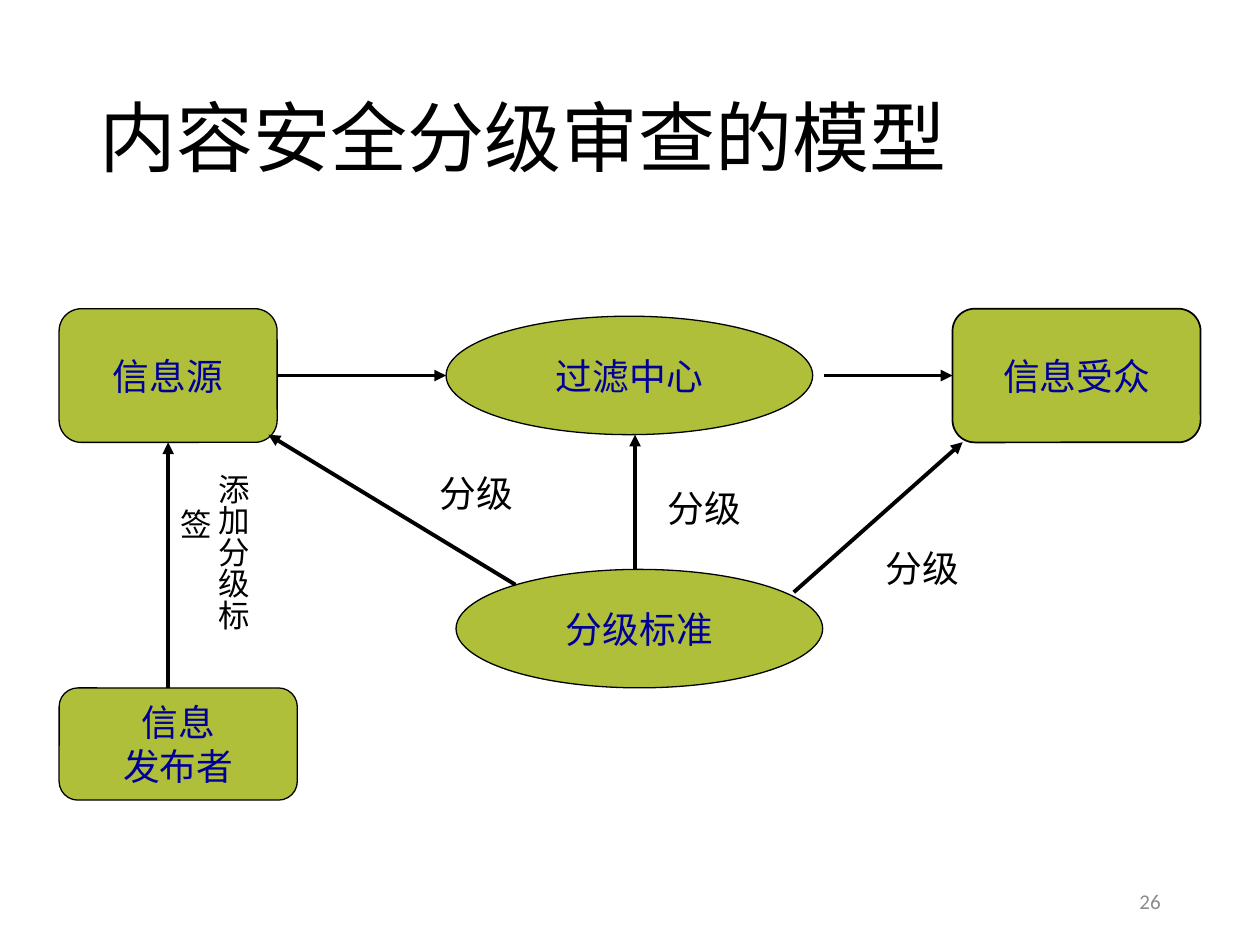
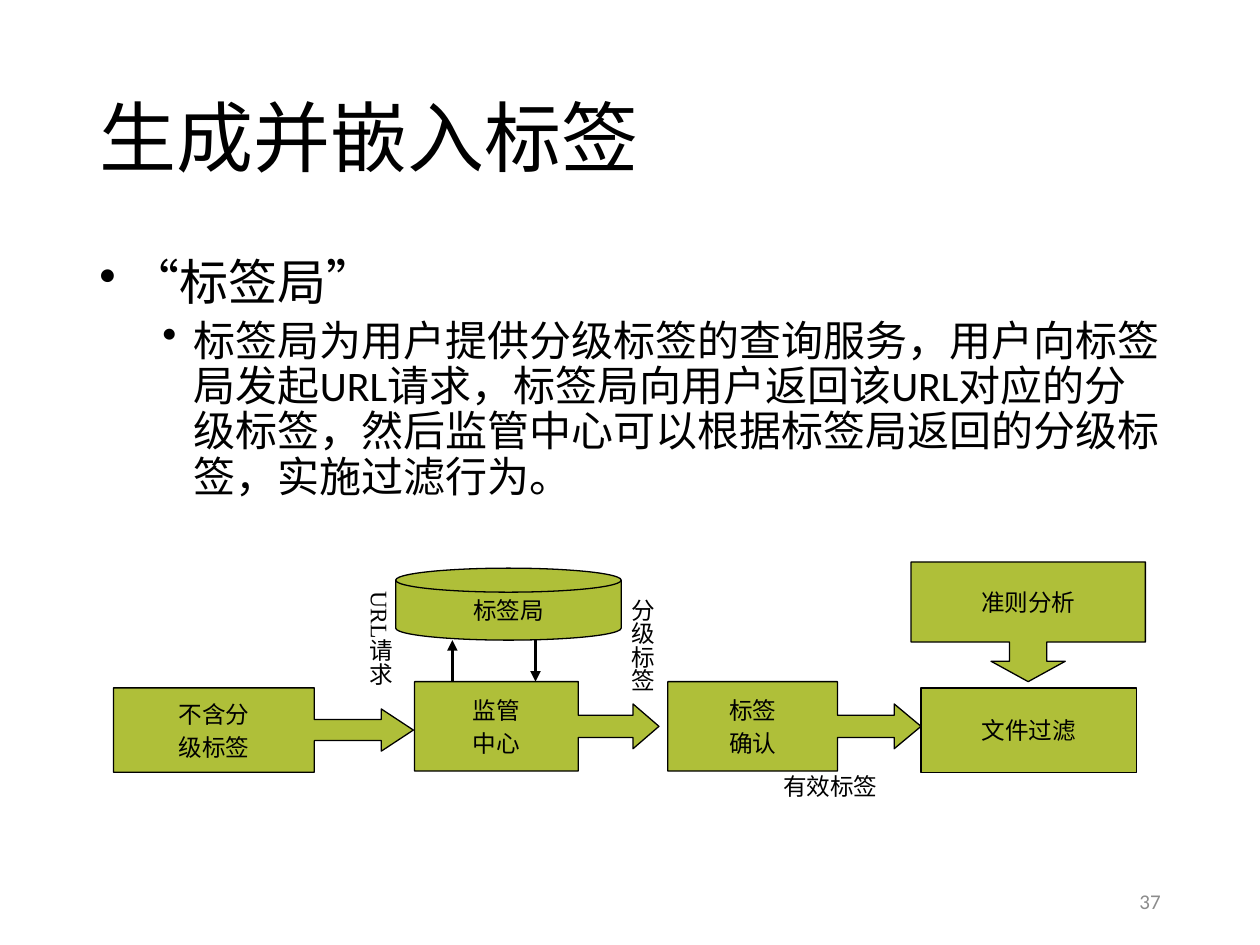
import dataclasses

import lxml.etree
import pptx
import pptx.dml.color
import pptx.enum.lang
import pptx.enum.shapes
import pptx.enum.text
import pptx.oxml.ns
import pptx.util

Pt = pptx.util.Pt
RGB = pptx.dml.color.RGBColor
SHAPE = pptx.enum.shapes.MSO_SHAPE
ALIGN = pptx.enum.text.PP_ALIGN
ANCHOR = pptx.enum.text.MSO_ANCHOR
AUTO = pptx.enum.text.MSO_AUTO_SIZE
qn = pptx.oxml.ns.qn


@dataclasses.dataclass(frozen=True)
class Theme:
    ink: RGB = RGB(0, 0, 0)
    node_ink: RGB = RGB(0, 0, 0x99)
    node_fill: RGB = RGB(0xAF, 0xBF, 0x39)
    number_ink: RGB = RGB(0x8C, 0x8C, 0x8C)
    sans: str = "Calibri"
    serif: str = "Times New Roman"
    title_size: float = 44
    topic_size: float = 28
    detail_size: float = 24
    node_size: float = 21
    side_size: float = 18
    step_size: float = 13.5
    number_size: float = 12
    outline: float = 0.75
    hanging: float = 20.2


THEME = Theme()


def font_format(size, name, color=THEME.ink):
    return {"size": Pt(size), "name": name, "color.rgb": color,
            "language_id": pptx.enum.lang.MSO_LANGUAGE_ID.SIMPLIFIED_CHINESE}


NODE_FONT = font_format(THEME.node_size, THEME.sans, THEME.node_ink)
STEP_FONT = font_format(THEME.step_size, THEME.serif)
LINK_FONT = font_format(THEME.node_size, THEME.serif)
SIDE_FONT = font_format(THEME.side_size, THEME.serif)


def apply(target, values):
    for key, value in values.items():
        *owners, attribute = key.split(".")
        owner = target
        for part in owners:
            owner = getattr(owner, part)
        setattr(owner, attribute, value)


def place(item, box):
    apply(item, dict(zip(("left", "top", "width", "height"), map(Pt, box))))


def write(frame, lines, font, paragraph_format=None, gap=0):
    for index, line in enumerate(lines):
        paragraph = frame.paragraphs[0] if index == 0 else frame.add_paragraph()
        apply(paragraph, paragraph_format or {})
        if index and gap:
            paragraph.space_before = Pt(gap)
        run = paragraph.add_run()
        run.text = line
        apply(run.font, font)


def set_indent(paragraph, left, first, bullet=None):
    properties = paragraph._p.get_or_add_pPr()
    properties.set("marL", str(Pt(left)))
    properties.set("indent", str(Pt(first)))
    if bullet:
        lxml.etree.SubElement(properties, qn("a:buChar")).set("char", bullet)


def add_text(slide, box, lines, font, paragraph_format=None, **frame_format):
    area = slide.shapes.add_textbox(*map(Pt, box))
    apply(area.text_frame, {"word_wrap": True, **frame_format})
    write(area.text_frame, lines, font, paragraph_format)
    return area


def add_label(slide, box, text, font, vertical=False):
    frame = add_text(slide, box, [text], font,
                     auto_size=AUTO.SHAPE_TO_FIT_TEXT).text_frame
    set_indent(frame.paragraphs[0], THEME.hanging, -THEME.hanging)
    if vertical:
        frame._txBody.bodyPr.set("vert", "eaVert")


def add_node(slide, kind, box, lines, font, gap=0, adjustments=(), outline=THEME.outline):
    node = slide.shapes.add_shape(kind, *map(Pt, box))
    for index, value in enumerate(adjustments):
        node.adjustments[index] = value
    node.fill.solid()
    apply(node, {"shadow.inherit": False, "fill.fore_color.rgb": THEME.node_fill,
                 "line.color.rgb": THEME.ink, "line.width": Pt(outline)})
    apply(node.text_frame, {"word_wrap": False, "vertical_anchor": ANCHOR.MIDDLE})
    write(node.text_frame, lines, font, {"alignment": ALIGN.CENTER}, gap)
    return node


def add_step(slide, kind, box, lines, adjustments=()):
    return add_node(slide, kind, box, lines, STEP_FONT, 2.7, adjustments)


def add_arrow(slide, start, end, width, begin_at=None, end_at=None):
    arrow = slide.shapes.add_connector(
        pptx.enum.shapes.MSO_CONNECTOR.STRAIGHT, *map(Pt, (*start, *end)))
    if begin_at:
        arrow.begin_connect(*begin_at)
    if end_at:
        arrow.end_connect(*end_at)
    apply(arrow.line, {"color.rgb": THEME.ink, "width": Pt(width)})
    outline = arrow.line._get_or_add_ln()
    lxml.etree.SubElement(outline, qn("a:tailEnd")).set("type", "triangle")
    lxml.etree.SubElement(arrow._element.spPr, qn("a:effectLst"))


def add_slide(deck, title, number):
    slide = deck.slides.add_slide(deck.slide_layouts[5])
    heading = slide.shapes.title
    place(heading, (49.7, 28.8, 620.6, 104.4))
    apply(heading.text_frame, {"word_wrap": True, "auto_size": AUTO.NONE,
                               "vertical_anchor": ANCHOR.MIDDLE})
    write(heading.text_frame, [title], font_format(THEME.title_size, THEME.sans),
          {"alignment": ALIGN.LEFT, "line_spacing": 0.9})
    add_text(slide, (508.3, 500.4, 162, 28.8), [number],
             font_format(THEME.number_size, THEME.sans, THEME.number_ink),
             {"alignment": ALIGN.RIGHT}, vertical_anchor=ANCHOR.MIDDLE)
    return slide


def build_review_model(deck):
    slide = add_slide(deck, "内容安全分级审查的模型", "26")
    flow_y, source_x = 214.6, 96.1
    rounded, oval = SHAPE.ROUNDED_RECTANGLE, SHAPE.OVAL

    add_node(slide, oval, (254.9, 180.7, 209.5, 67.7), ["过滤中心"], NODE_FONT)
    source = add_node(slide, rounded, (33.8, 176.4, 124.6, 76.4), ["信息源"], NODE_FONT)
    add_node(slide, rounded, (33.8, 393.1, 136.1, 64.1), ["信息", "发布者"], NODE_FONT)
    audience = add_node(slide, rounded, (544.3, 176.4, 141.8, 76.4), ["信息受众"],
                        NODE_FONT, outline=1)
    add_node(slide, oval, (260.6, 325.4, 209.5, 67.7), ["分级标准"], NODE_FONT)

    for start, end, begin_at, end_at in (
        ((source_x, 393.1), (source_x, 252.8), None, (source, 2)),
        ((294.5, 334.1), (153.4, 248.4), None, None),
        ((158.4, flow_y), (254.9, flow_y), (source, 3), None),
        ((362.9, 325.4), (362.9, 248.4), None, None),
        ((470.9, flow_y), (544.3, flow_y), None, (audience, 1)),
        ((453.6, 338.4), (550.1, 252.7), None, None),
    ):
        add_arrow(slide, start, end, 2.25, begin_at, end_at)

    add_label(slide, (111.6, 263.5, 36, 118.8), "添加分级标签", SIDE_FONT, vertical=True)
    for left, top in ((244.1, 265.7), (499, 308.2), (374.4, 274.3)):
        add_label(slide, (left, top, 73.4, 32.4), "分级", LINK_FONT)


def add_explanation(slide):
    frame = add_text(slide, (49.7, 144, 620.6, 342.7), [], {}).text_frame
    points = (
        ("“标签局”", 0, 18, THEME.topic_size),
        ("标签局为用户提供分级标签的查询服务，用户向标签局发起URL请求，"
         "标签局向用户返回该URL对应的分级标签，然后监管中心可以根据标签局返回的分级标签，"
         "实施过滤行为。", 1, 54, THEME.detail_size),
    )
    for text, level, left, size in points:
        paragraph = frame.add_paragraph() if level else frame.paragraphs[0]
        apply(paragraph, {"level": level, "line_spacing": 0.9})
        if level:
            paragraph.space_before = Pt(5)
        set_indent(paragraph, left, -18, "•")
        run = paragraph.add_run()
        run.text = text
        apply(run.font, font_format(size, THEME.sans))


def build_label_flow(deck):
    slide = add_slide(deck, "生成并嵌入标签", "37")
    add_explanation(slide)
    bureau_bottom, centre_top = 365.8, 389.5

    add_step(slide, SHAPE.RECTANGLE, (526.3, 393.1, 123.1, 48.2), ["文件过滤"])
    add_step(slide, SHAPE.FLOWCHART_MAGNETIC_DISK, (226.1, 324.7, 128.9, 41.1), ["标签局"])
    for box, lines, head in (
        ((64.8, 393.1, 171.4, 48.2), ["不含分", "级标签"], 0.38),
        ((236.9, centre_top, 139.7, 51.1), ["监管", "中心"], 0.29),
        ((381.6, centre_top, 144.7, 51.1), ["标签", "确认"], 0.3),
    ):
        add_step(slide, SHAPE.RIGHT_ARROW_CALLOUT, box, lines, (0.25, 0.25, head, 0.67))
    add_step(slide, SHAPE.DOWN_ARROW_CALLOUT, (520.6, 321.1, 133.9, 68.4), ["准则分析"],
             (0.31, 0.31, 0.17, 0.67))

    add_arrow(slide, (258.5, centre_top), (258.5, bureau_bottom), 2)
    add_arrow(slide, (306, bureau_bottom), (306, centre_top), 2)

    add_label(slide, (440.6, 437.8, 171.4, 23.8), "有效标签", STEP_FONT)
    add_label(slide, (198, 331.2, 31, 82.1), "URL请求", STEP_FONT, vertical=True)
    add_label(slide, (347.8, 334.8, 31, 85.7), "分级标签", STEP_FONT, vertical=True)


def main():
    deck = pptx.Presentation()
    apply(deck, {"slide_width": Pt(720), "slide_height": Pt(540)})
    build_review_model(deck)
    build_label_flow(deck)
    deck.save("out.pptx")


if __name__ == "__main__":
    main()
